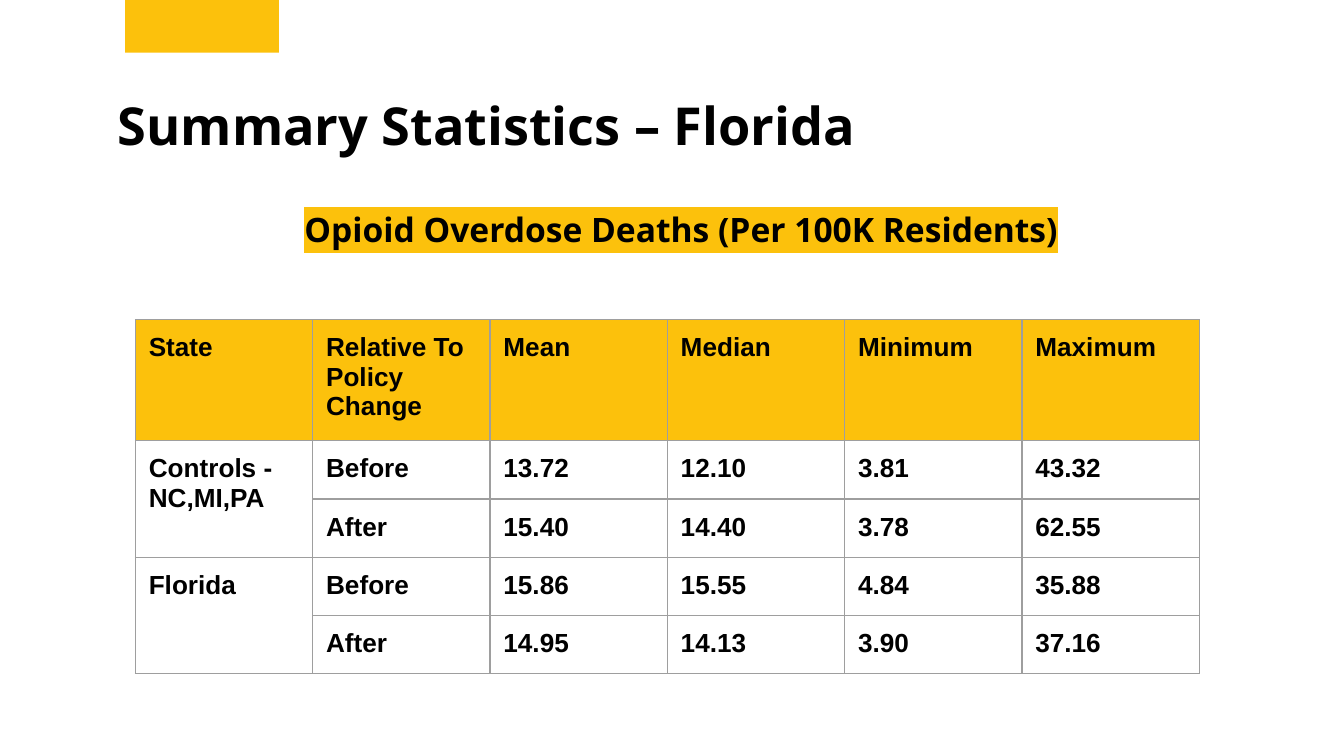
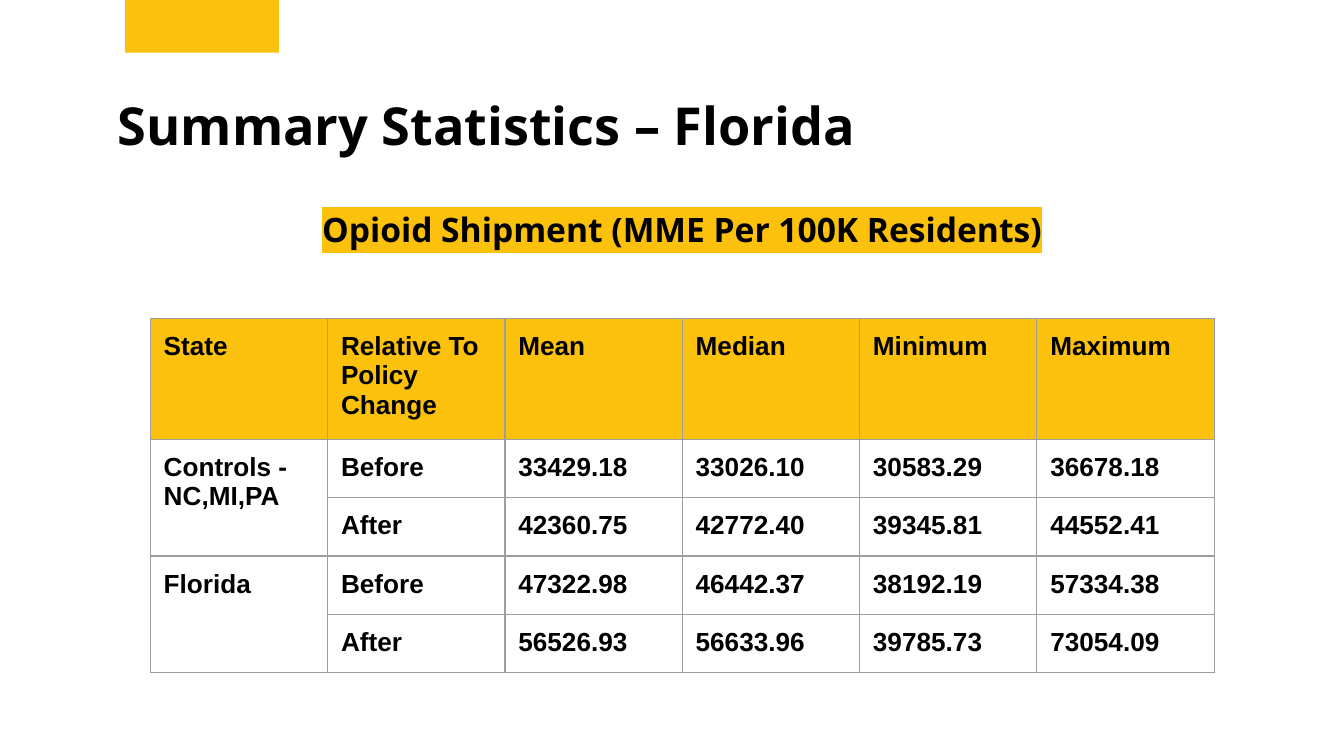
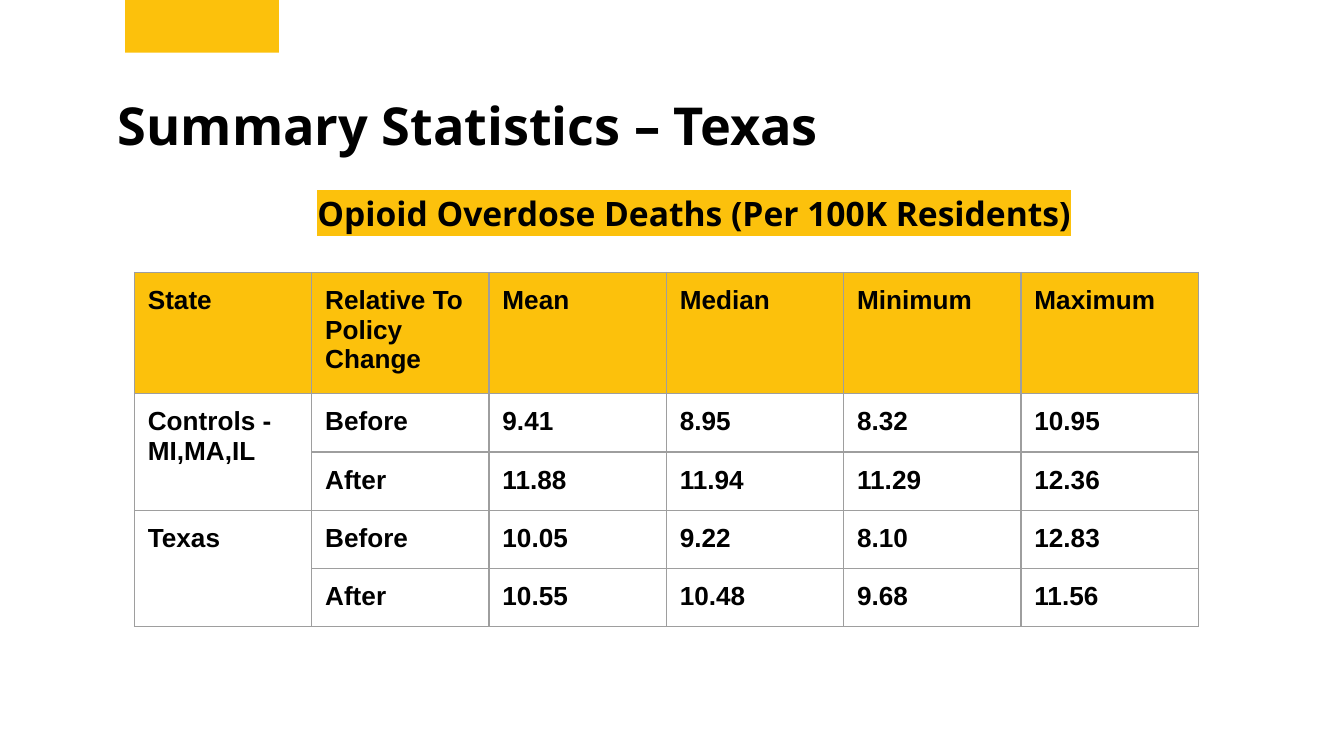
from lxml.etree import SubElement as Sub
from pptx import Presentation
from pptx.dml.color import RGBColor as Rgb
from pptx.enum.shapes import MSO_SHAPE as Preset
from pptx.enum.text import MSO_ANCHOR as Anchor, PP_ALIGN as Align
from pptx.oxml.ns import qn
from pptx.util import Pt

COLORS = {"accent": "FCC10C", "text": "000000", "grid": "9E9E9E", "plain": "FFFFFF"}
TITLE = {"name": "Open Sans", "size": Pt(28), "bold": True}
MEASURE = {"name": "Open Sans", "size": Pt(18), "bold": True}
ENTRY = {"name": "Arial", "size": Pt(14), "bold": True}
INSET = Pt(7.2)
INSETS = {f"margin_{side}": INSET for side in ("left", "top", "right", "bottom")}
FRAME = {**INSETS, "word_wrap": True, "vertical_anchor": Anchor.TOP}
COLUMN_WIDTH = 95
ROW_HEIGHT = 30

HEADINGS = ["State", "Relative To\nPolicy Change", "Mean", "Median", "Minimum", "Maximum"]
PERIODS = ["Before", "After"]

SUMMARIES = [
    {
        "title": "Summary Statistics – Florida",
        "measure": "Opioid Overdose Deaths (Per 100K Residents)",
        "measure_box": (155.5, 105, 419, 31),
        "table_at": (72.5, 171.2),
        "body_fill": "plain",
        "groups": {
            "Controls - NC,MI,PA": [
                ["13.72", "12.10", "3.81", "43.32"],
                ["15.40", "14.40", "3.78", "62.55"],
            ],
            "Florida": [
                ["15.86", "15.55", "4.84", "35.88"],
                ["14.95", "14.13", "3.90", "37.16"],
            ],
        },
    },
    {
        "title": "Summary Statistics – Florida",
        "measure": "Opioid Shipment (MME Per 100K Residents)",
        "measure_box": (156, 105, 419, 31),
        "table_at": (80.5, 170.5),
        "body_fill": None,
        "groups": {
            "Controls - NC,MI,PA": [
                ["33429.18", "33026.10", "30583.29", "36678.18"],
                ["42360.75", "42772.40", "39345.81", "44552.41"],
            ],
            "Florida": [
                ["47322.98", "46442.37", "38192.19", "57334.38"],
                ["56526.93", "56633.96", "39785.73", "73054.09"],
            ],
        },
    },
    {
        "title": "Summary Statistics – Texas",
        "measure": "Opioid Overdose Deaths (Per 100K Residents)",
        "measure_box": (129.5, 96, 485, 31),
        "table_at": (72, 146),
        "body_fill": None,
        "groups": {
            "Controls - MI,MA,IL": [
                ["9.41", "8.95", "8.32", "10.95"],
                ["11.88", "11.94", "11.29", "12.36"],
            ],
            "Texas": [
                ["10.05", "9.22", "8.10", "12.83"],
                ["10.55", "10.48", "9.68", "11.56"],
            ],
        },
    },
]


def apply(target, values):
    """Set every attribute in values on target."""
    for key, value in values.items():
        setattr(target, key, value)


def color(key):
    """Return the named palette colour."""
    return Rgb.from_string(COLORS[key])


def add_band(slide):
    """Draw the accent band at the top edge."""
    band = slide.shapes.add_shape(Preset.RECTANGLE, Pt(67), 0, Pt(82.5), Pt(28.2))
    band.shadow.inherit = False
    band.fill.solid()
    band.fill.fore_color.rgb = color("accent")
    band.line.fill.background()


def add_line(slide, text, box, style, align=Align.LEFT):
    """Add a one-line text box and return its run."""
    frame = slide.shapes.add_textbox(*map(Pt, box)).text_frame
    apply(frame, FRAME)
    paragraph = frame.paragraphs[0]
    paragraph.alignment = align
    run = paragraph.add_run()
    run.text = text
    apply(run.font, style)
    run.font.color.rgb = color("text")
    return run


def highlight(run, key):
    """Mark the run's background with a palette colour."""
    properties = run.font._element
    marker = Sub(properties, qn("a:highlight"))
    Sub(marker, qn("a:srgbClr"), val=COLORS[key])
    properties.find(qn("a:solidFill")).addnext(marker)


def add_borders(cell):
    """Draw the grid line on all four sides of a cell."""
    properties = cell._tc.get_or_add_tcPr()
    for side in ("lnL", "lnR", "lnT", "lnB"):
        border = Sub(properties, qn(f"a:{side}"), w=str(Pt(0.75)))
        Sub(Sub(border, qn("a:solidFill")), qn("a:srgbClr"), val=COLORS["grid"])


def format_cell(cell, text, fill):
    """Fill one table cell with text, grid lines and colour."""
    apply(cell, {**INSETS, "vertical_anchor": Anchor.TOP})
    add_borders(cell)
    if fill:
        cell.fill.solid()
        cell.fill.fore_color.rgb = color(fill)
    else:
        cell.fill.background()
    cell.text = text
    for paragraph in cell.text_frame.paragraphs:
        apply(paragraph.font, ENTRY)
        for run in paragraph.runs:
            apply(run.font, ENTRY)
            run.font.color.rgb = color("text")


def add_statistics(slide, at, groups, body_fill):
    """Add the before-and-after table, one merged label per group."""
    records = [HEADINGS]
    for state, periods in groups.items():
        for label, period, values in zip((state, ""), PERIODS, periods):
            records.append([label, period, *values])
    size = (COLUMN_WIDTH * len(HEADINGS), ROW_HEIGHT * len(records))
    statistics = slide.shapes.add_table(
        len(records), len(HEADINGS), *map(Pt, at + size)).table
    apply(statistics, {"first_row": False, "horz_banding": False})
    for row, record in enumerate(records):
        for column, text in enumerate(record):
            format_cell(statistics.cell(row, column), text, body_fill if row else "accent")
    for row in range(1, len(records), len(PERIODS)):
        statistics.cell(row, 0).merge(statistics.cell(row + len(PERIODS) - 1, 0))


def add_summary(deck, summary):
    """Add one summary statistics slide."""
    slide = deck.slides.add_slide(deck.slide_layouts[6])
    add_band(slide)
    add_line(slide, summary["title"], (56, 42.5, 530.5, 70), TITLE)
    measure = add_line(
        slide, summary["measure"], summary["measure_box"], MEASURE, Align.CENTER)
    highlight(measure, "accent")
    add_statistics(slide, summary["table_at"], summary["groups"], summary["body_fill"])


def main():
    """Build and save the presentation."""
    deck = Presentation()
    apply(deck, {"slide_width": Pt(720), "slide_height": Pt(405)})
    for summary in SUMMARIES:
        add_summary(deck, summary)
    deck.save("out.pptx")


if __name__ == "__main__":
    main()
